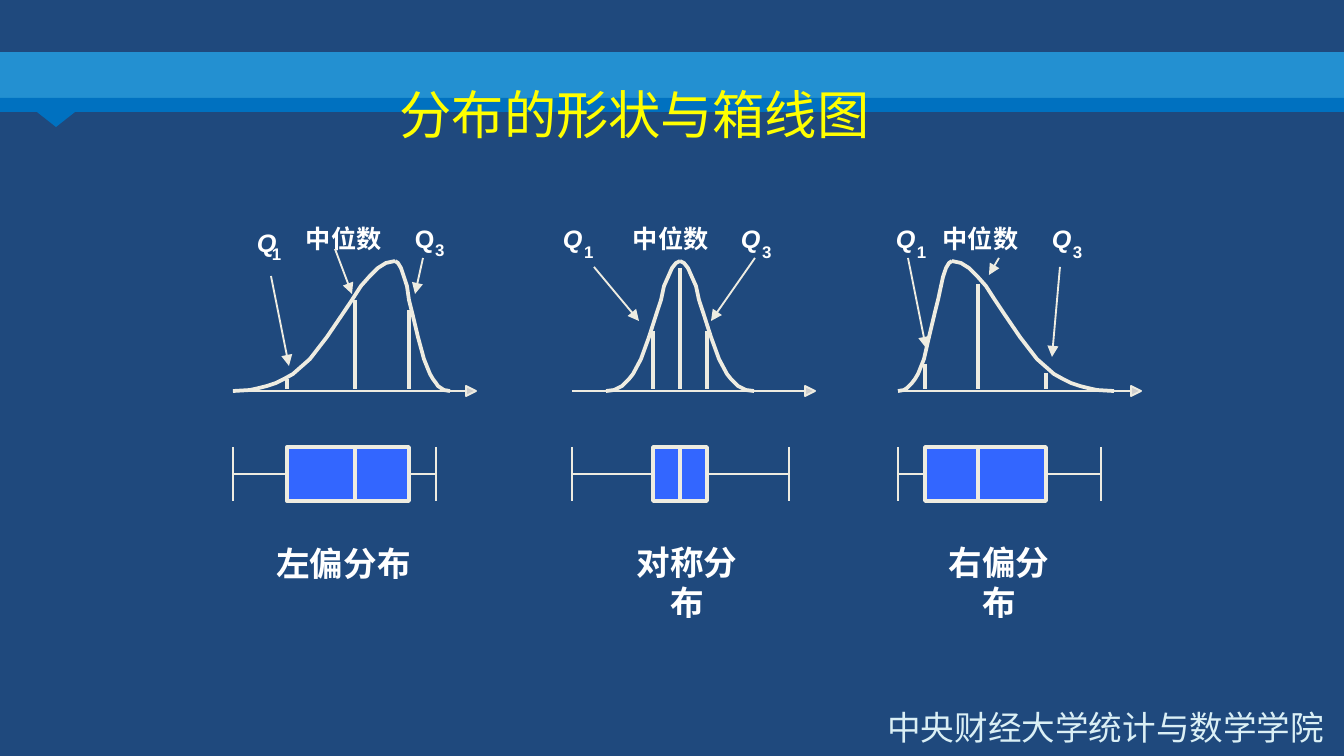
from dataclasses import dataclass
from typing import NamedTuple, Optional

from lxml.etree import SubElement
from pptx import Presentation
from pptx.dml.color import RGBColor as Rgb
from pptx.enum.shapes import MSO_CONNECTOR as Link, MSO_SHAPE as Preset
from pptx.enum.text import MSO_ANCHOR as Anchor, PP_ALIGN as Align
from pptx.oxml.ns import qn
from pptx.shapes.autoshape import Shape
from pptx.slide import Slide
from pptx.util import Emu, Pt

EMU_PER_PX = 914400 / 134.4
WIDTH, HEIGHT = 1344, 756
PEAK, BASE = 261, 391
BOX_TOP, BOX_HEIGHT = 447, 54
AXIS_LENGTH = 232
TAIL_STEPS = (0, 2, 3, 4, 5, 6, 7, 9, 11, 13, 14, 15, 16, 17, 18, 19)
TAIL_HEIGHTS = (391, 390, 388, 386, 383, 379, 374, 359, 337, 312, 300, 286, 277, 268, 263, 261)


@dataclass(frozen=True)
class Theme:
    """Colours, fonts and sizes of the slide."""
    background: str = "1F497D"
    band: str = "2390D1"
    stripe: str = "0071C0"
    title: str = "FFFF00"
    footer: str = "DAEFF5"
    text: str = "FFFFFF"
    ink: str = "EEECE1"
    box: str = "3366FF"
    arrowhead: str = "CDCDCD"
    latin: str = "Arial"
    cjk: str = "Noto Sans CJK SC"
    title_size: float = 28
    caption_size: float = 18
    label_size: float = 13.5
    index_size: float = 9
    thick: float = 2
    thin: float = 1


class Point(NamedTuple):
    x: int
    y: int


class Area(NamedTuple):
    x: int
    y: int
    width: int
    height: int


class Quartile(NamedTuple):
    index: str
    at: Point
    index_shift: Point = Point(21, 19)
    italic: bool = True


@dataclass(frozen=True)
class Distribution:
    """One density curve with its box plot and labels."""
    caption: str
    caption_area: Area
    curve: tuple[int, int, int]
    whiskers: tuple[int, int]
    quartiles: tuple[Point, Point, Point]
    labels: tuple[Quartile, Quartile]
    median_label: Point
    pointers: tuple[tuple[Point, Point], ...]


THEME = Theme()
DISTRIBUTIONS = (
    Distribution(
        "左偏分布", Area(258, 538, 171, 50), (233, 395, 450), (233, 436),
        (Point(287, 379), Point(355, 300), Point(409, 310)),
        (Quartile("1", Point(248, 222), Point(15, 17)),
         Quartile("3", Point(406, 218), Point(20, 17), False)),
        Point(297, 218),
        ((Point(271, 276), Point(289, 366)), (Point(335, 249), Point(352, 294)),
         (Point(423, 258), Point(415, 294)))),
    Distribution(
        "对称分布", Area(614, 537, 146, 50), (606, 680, 754), (572, 789),
        (Point(653, 331), Point(680, 268), Point(707, 331)),
        (Quartile("1", Point(554, 218)), Quartile("3", Point(732, 218))),
        Point(624, 218),
        ((Point(594, 267), Point(639, 321)), (Point(755, 258), Point(711, 321)))),
    Distribution(
        "右偏分布", Area(926, 537, 146, 50), (898, 952, 1114), (898, 1101),
        (Point(925, 364), Point(978, 284), Point(1046, 373)),
        (Quartile("1", Point(887, 218)), Quartile("3", Point(1043, 218))),
        Point(934, 218),
        ((Point(908, 258), Point(926, 348)), (Point(999, 258), Point(989, 275)),
         (Point(1060, 267), Point(1052, 357)))),
)


def px(length: float) -> Emu:
    """Turn pixels into EMU."""
    return Emu(round(length * EMU_PER_PX))


def paint(shape: Shape, fill: Optional[str], weight: float = 0) -> Shape:
    """Set fill and outline, and drop the shadow."""
    shape.shadow.inherit = False
    if fill:
        shape.fill.solid()
        shape.fill.fore_color.rgb = Rgb.from_string(fill)
    else:
        shape.fill.background()
    if weight:
        shape.line.color.rgb = Rgb.from_string(THEME.ink)
        shape.line.width = Pt(weight)
    else:
        shape.line.fill.background()
    return shape


def block(slide: Slide, preset: Preset, area: Area, fill: str, weight: float = 0) -> Shape:
    """Draw a preset shape."""
    return paint(slide.shapes.add_shape(preset, *map(px, area)), fill, weight)


def outline(slide: Slide, points: list[Point], weight: float, fill: Optional[str] = None) -> Shape:
    """Draw a freeform, closed only when it is filled."""
    builder = slide.shapes.build_freeform(*points[0], scale=EMU_PER_PX)
    builder.add_line_segments(points[1:], close=bool(fill))
    return paint(builder.convert_to_shape(), fill, weight)


def line(slide: Slide, start: Point, end: Point, weight: float, *, arrow: bool = False,
         start_site: Optional[tuple[Shape, int]] = None,
         end_site: Optional[tuple[Shape, int]] = None) -> None:
    """Draw a straight connector, joined to shapes where sites are given."""
    connector = slide.shapes.add_connector(Link.STRAIGHT, *map(px, (*start, *end)))
    connector.line.color.rgb = Rgb.from_string(THEME.ink)
    connector.line.width = Pt(weight)
    if arrow:
        SubElement(connector.line._get_or_add_ln(), qn("a:tailEnd"), type="triangle")
    SubElement(connector.element.spPr, qn("a:effectLst"))
    if start_site:
        connector.begin_connect(*start_site)
    if end_site:
        connector.end_connect(*end_site)


def write(shape: Shape, text: str, *, size: float, color: str = THEME.text, font: str = THEME.latin,
          bold: bool = False, italic: bool = False, align: Align = Align.LEFT,
          wrap: bool = True, inset: Point = Point(9, 5), anchor: Anchor = Anchor.TOP) -> None:
    """Put one formatted paragraph into a shape."""
    frame = shape.text_frame
    frame.word_wrap = wrap
    frame.vertical_anchor = anchor
    frame.margin_left = frame.margin_right = px(inset.x)
    frame.margin_top = frame.margin_bottom = px(inset.y)
    paragraph = frame.paragraphs[0]
    paragraph.alignment = align
    run = paragraph.add_run()
    run.text = text
    run.font.size, run.font.bold, run.font.italic = Pt(size), bold, italic
    run.font.color.rgb = Rgb.from_string(color)
    run.font.name = font
    SubElement(run.font._element, qn("a:ea"), typeface=THEME.cjk)


def label(slide: Slide, area: Area, text: str, **style) -> None:
    """Add a text box."""
    write(slide.shapes.add_textbox(*map(px, area)), text, **style)


def draw_curve(slide: Slide, item: Distribution) -> None:
    """Draw quartile lines, both tails of the density and its axis."""
    for quartile in item.quartiles:
        line(slide, quartile, Point(quartile.x, BASE - 2), THEME.thick)
    low, peak, high = item.curve
    for foot in (high, low):
        tail = [Point(round(foot + (peak - foot) * step / TAIL_STEPS[-1]), height)
                for step, height in zip(TAIL_STEPS, TAIL_HEIGHTS)]
        outline(slide, tail, THEME.thick)
    origin = item.whiskers[0]
    tip = origin + AXIS_LENGTH
    line(slide, Point(origin, BASE), Point(tip, BASE), THEME.thin)
    outline(slide, [Point(tip + 1, BASE - 5), Point(tip + 11, BASE), Point(tip + 1, BASE + 5)],
            THEME.thin, THEME.arrowhead)


def draw_box_plot(slide: Slide, item: Distribution) -> None:
    """Draw the box with its median and whiskers."""
    left, median, right = (quartile.x for quartile in item.quartiles)
    bottom, middle = BOX_TOP + BOX_HEIGHT, BOX_TOP + BOX_HEIGHT // 2
    box = block(slide, Preset.RECTANGLE, Area(left, BOX_TOP, right - left, BOX_HEIGHT),
                THEME.box, THEME.thick)
    centred = left + right == 2 * median
    line(slide, Point(median, BOX_TOP), Point(median, bottom), THEME.thick,
         start_site=(box, 0) if centred else None, end_site=(box, 2) if centred else None)
    for whisker, side, site in zip(item.whiskers, (left, right), (1, 3)):
        line(slide, Point(whisker, BOX_TOP), Point(whisker, bottom), THEME.thin)
        line(slide, Point(whisker, middle), Point(side, middle), THEME.thin, end_site=(box, site))


def draw_labels(slide: Slide, item: Distribution) -> None:
    """Write the caption and the quartile names with their pointers."""
    label(slide, item.caption_area, item.caption, size=THEME.caption_size, bold=True, align=Align.CENTER)
    label(slide, Area(*item.median_label, 98, 41), "中位数", size=THEME.label_size, bold=True, wrap=False)
    for name in item.labels:
        label(slide, Area(*name.at, 40, 41), "Q", size=THEME.label_size,
              bold=True, italic=name.italic, wrap=False)
        label(slide, Area(name.at.x + name.index_shift.x, name.at.y + name.index_shift.y, 30, 30),
              name.index, size=THEME.index_size, bold=True, wrap=False)
    for start, end in item.pointers:
        line(slide, start, end, THEME.thin, arrow=True)


def main() -> None:
    """Build and save the slide."""
    deck = Presentation()
    deck.slide_width, deck.slide_height = px(WIDTH), px(HEIGHT)
    slide = deck.slides.add_slide(deck.slide_layouts[5])
    slide.background.fill.solid()
    slide.background.fill.fore_color.rgb = Rgb.from_string(THEME.background)
    block(slide, Preset.ISOSCELES_TRIANGLE, Area(37, 112, 38, 15), THEME.stripe).rotation = 180
    block(slide, Preset.RECTANGLE, Area(0, 52, WIDTH, 46), THEME.band)
    block(slide, Preset.RECTANGLE, Area(0, 98, WIDTH, 14), THEME.stripe)
    label(slide, Area(782, 700, 555, 54), "中央财经大学统计与数学学院", size=THEME.caption_size,
          color=THEME.footer, font=THEME.cjk, align=Align.RIGHT, inset=Point(13, 7))
    title = slide.shapes.title
    title.left, title.top, title.width, title.height = map(px, Area(261, 51, 747, 126))
    write(title, "分布的形状与箱线图", size=THEME.title_size, color=THEME.title, font=THEME.cjk,
          align=Align.CENTER, anchor=Anchor.MIDDLE)
    title.element.getparent().append(title.element)
    for item in DISTRIBUTIONS:
        draw_box_plot(slide, item)
        draw_curve(slide, item)
        draw_labels(slide, item)
    deck.save("out.pptx")


if __name__ == "__main__":
    main()
